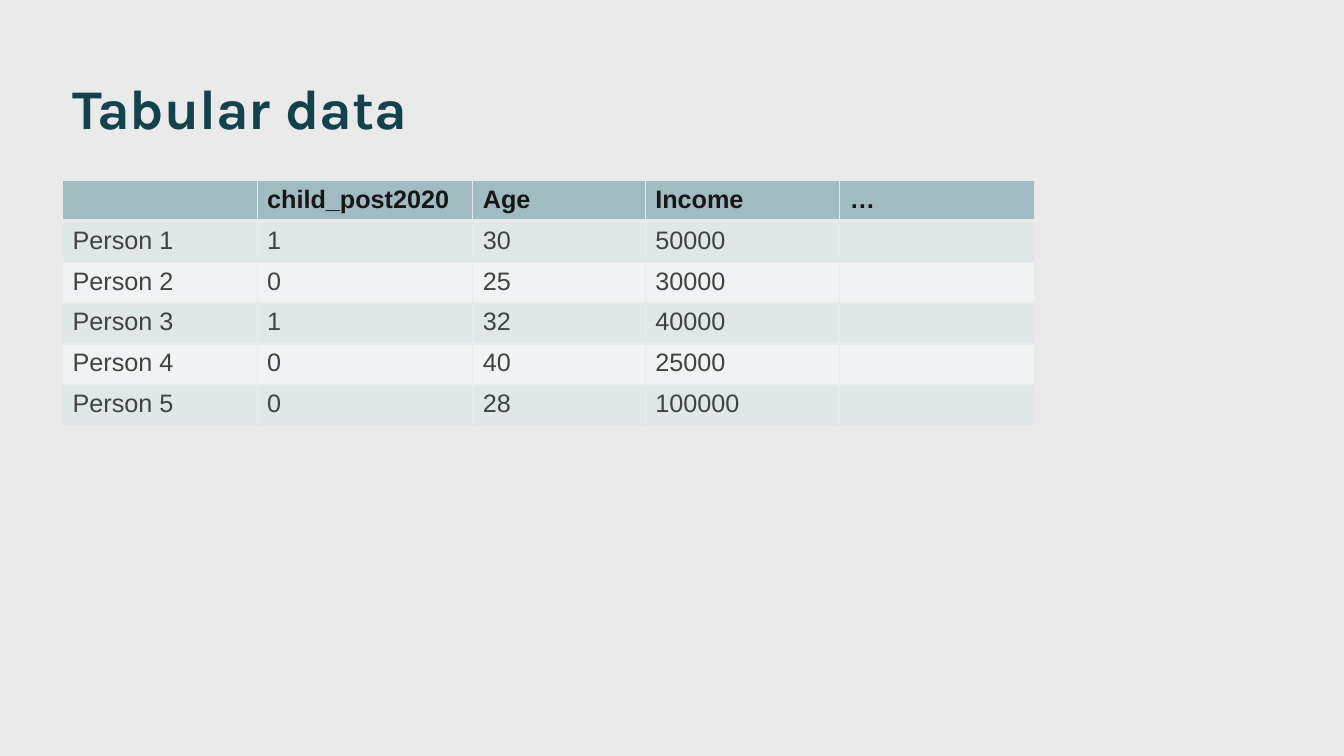
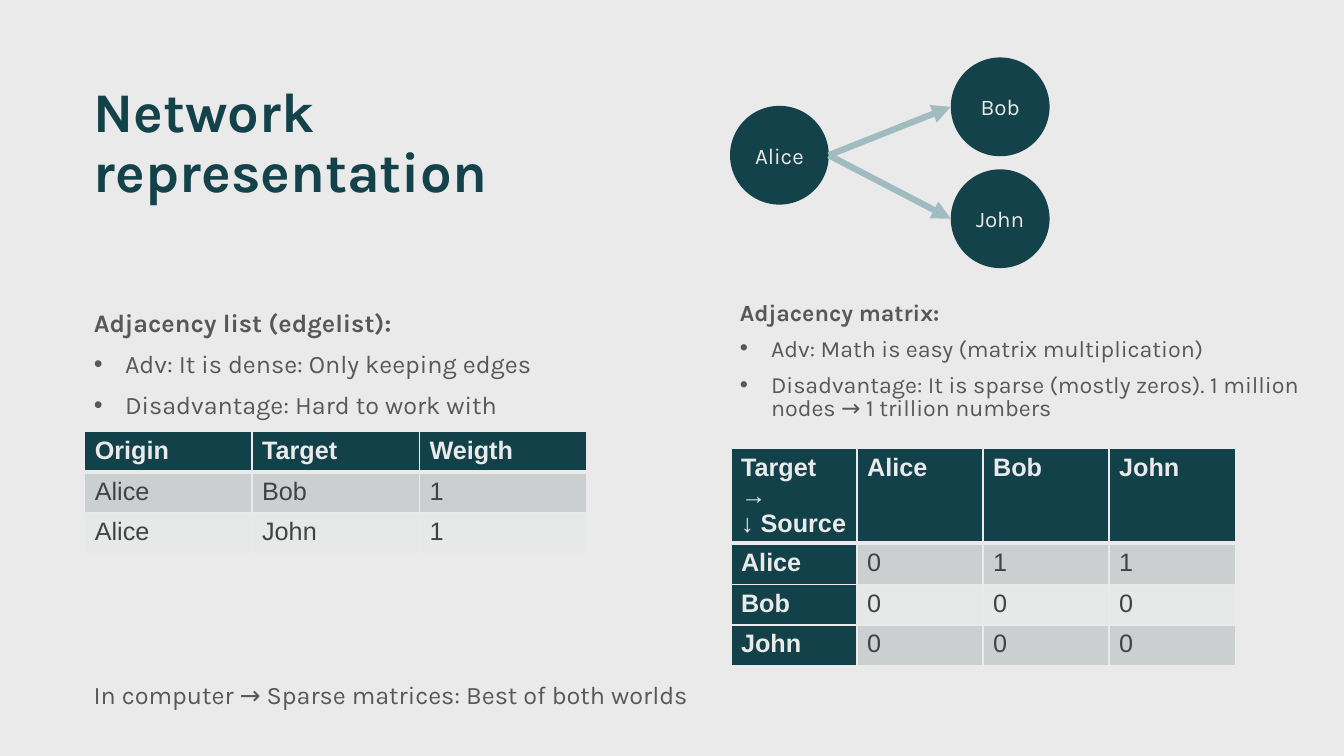
from dataclasses import dataclass

from lxml import etree
from pptx import Presentation
from pptx.dml.color import RGBColor
from pptx.enum.shapes import MSO_CONNECTOR, MSO_SHAPE
from pptx.enum.text import MSO_ANCHOR, MSO_AUTO_SIZE, PP_ALIGN
from pptx.oxml.ns import qn
from pptx.util import Inches, Pt

OVAL = MSO_SHAPE.OVAL
STRAIGHT = MSO_CONNECTOR.STRAIGHT
TOP, MIDDLE = MSO_ANCHOR.TOP, MSO_ANCHOR.MIDDLE
LEFT, CENTER = PP_ALIGN.LEFT, PP_ALIGN.CENTER
NO_AUTOFIT = MSO_AUTO_SIZE.NONE
TITLE_AND_CONTENT, TITLE_ONLY = 1, 5


@dataclass(frozen=True)
class Theme:
    background: str = "EAEAEA"
    dark: str = "14424A"
    table_dark: str = "13414A"
    pale: str = "A1BCC0"
    body: str = "585858"
    cell: str = "424242"
    pale_header: str = "171717"
    text_font: str = "Karla"
    table_font: str = "Arial"
    title_size: float = 40
    body_size: float = 18
    compact_size: float = 16.6
    node_size: float = 16


THEME = Theme()


@dataclass(frozen=True)
class Box:
    left: float
    top: float
    width: float
    height: float

    def place(self, shape) -> None:
        shape.left, shape.top = Inches(self.left), Inches(self.top)
        shape.width, shape.height = Inches(self.width), Inches(self.height)


@dataclass(frozen=True)
class TableStyle:
    header_fill: str
    header_color: str
    bands: tuple[str, str]


PALE_TABLE = TableStyle(THEME.pale, THEME.pale_header, ("E0E7E8", "F0F3F4"))
DARK_TABLE = TableStyle(THEME.table_dark, THEME.background, ("CCCFD0", "E7E9E9"))


@dataclass(frozen=True)
class Grid:
    left: float
    top: float
    column_widths: tuple[float, ...]
    rows: tuple[tuple[str, ...], ...]
    style: TableStyle
    header_column: bool = False


@dataclass(frozen=True)
class Node:
    name: str
    left: float
    top: float
    diameter: float = 0.98

    @property
    def middle(self) -> float:
        return self.top + self.diameter / 2


ROW_HEIGHT = 0.405
RIGHT_COLUMN = 7.24

PEOPLE = Grid(0.62, 1.79, (1.93, 2.14, 1.71, 1.93, 1.93), (
    ("", "child_post2020", "Age", "Income", "…"),
    ("Person 1", "1", "30", "50000", ""),
    ("Person 2", "0", "25", "30000", ""),
    ("Person 3", "1", "32", "40000", ""),
    ("Person 4", "0", "40", "25000", ""),
    ("Person 5", "0", "28", "100000", ""),
), PALE_TABLE)

EDGE_LIST = Grid(0.84, 4.28, (1.66,) * 3, (
    ("Origin", "Target", "Weigth"),
    ("Alice", "Bob", "1"),
    ("Alice", "John", "1"),
), DARK_TABLE)

MATRIX = Grid(7.25, 4.45, (1.25,) * 4, (
    ("Target →\n↓ Source", "Alice", "Bob", "John"),
    ("Alice", "0", "1", "1"),
    ("Bob", "0", "0", "0"),
    ("John", "0", "0", "0"),
), DARK_TABLE, header_column=True)

SOURCE = Node("Alice", RIGHT_COLUMN, 1.05)
TARGETS = (Node("Bob", 9.43, 0.57), Node("John", 9.43, 1.68))


# Text helpers
def color(value: str) -> RGBColor:
    return RGBColor.from_string(value)


def format_runs(paragraph, size: float, fill: str, bold: bool = False,
                font_name: str = THEME.text_font) -> None:
    for run in paragraph.runs:
        run.font.name = font_name
        run.font.size = Pt(size)
        run.font.bold = bold
        run.font.color.rgb = color(fill)


def set_bullet(paragraph, bulleted: bool) -> None:
    properties = paragraph._p.get_or_add_pPr()
    indent = Inches(0.31) if bulleted else 0
    properties.set("marL", str(indent))
    properties.set("indent", str(-indent))
    if bulleted:
        etree.SubElement(properties, qn("a:buFont")).set("typeface", "Arial")
        etree.SubElement(properties, qn("a:buChar")).set("char", "•")
    else:
        etree.SubElement(properties, qn("a:buNone"))


def prepare_frame(shape, box: Box):
    box.place(shape)
    frame = shape.text_frame
    frame.word_wrap = True
    frame.auto_size = NO_AUTOFIT
    frame.vertical_anchor = TOP
    return frame


def set_title(slide, text: str, box: Box) -> None:
    frame = prepare_frame(slide.shapes.title, box)
    frame.text = text
    paragraph = frame.paragraphs[0]
    paragraph.alignment = LEFT
    paragraph.line_spacing = 0.9
    format_runs(paragraph, THEME.title_size, THEME.dark, bold=True)


def fill_text(shape, box: Box, lines: tuple[str, ...], size: float,
              line_spacing: float, heading: bool = True) -> None:
    """Write a first line, bold if it is a heading, followed by bullets."""
    frame = prepare_frame(shape, box)
    frame.text = "\n".join(lines)
    for index, paragraph in enumerate(frame.paragraphs):
        set_bullet(paragraph, index > 0)
        paragraph.alignment = LEFT
        paragraph.line_spacing = line_spacing
        paragraph.space_before = Pt(10 if index else 0)
        format_runs(paragraph, size, THEME.body, bold=heading and index == 0)


def add_text(slide, box: Box, lines: tuple[str, ...], size: float,
             line_spacing: float, heading: bool = True) -> None:
    shape = slide.shapes.add_textbox(0, 0, 0, 0)
    fill_text(shape, box, lines, size, line_spacing, heading)


# Tables
def set_borders(cell, row: int) -> None:
    properties = cell._tc.get_or_add_tcPr()
    widths = {"lnL": 1, "lnR": 1, "lnT": 3 if row == 1 else 1,
              "lnB": 3 if row == 0 else 1}
    for index, (side, width) in enumerate(widths.items()):
        line = etree.Element(qn(f"a:{side}"), w=str(Pt(width)))
        fill = etree.SubElement(line, qn("a:solidFill"))
        etree.SubElement(fill, qn("a:srgbClr")).set("val", THEME.background)
        properties.insert(index, line)


def add_grid(slide, grid: Grid) -> None:
    style = grid.style
    row_count, column_count = len(grid.rows), len(grid.column_widths)
    table = slide.shapes.add_table(
        row_count, column_count, Inches(grid.left), Inches(grid.top),
        Inches(sum(grid.column_widths)), Inches(ROW_HEIGHT * row_count)).table
    for column, width in zip(table.columns, grid.column_widths):
        column.width = Inches(width)
    for row, values in enumerate(grid.rows):
        for column, value in enumerate(values):
            cell = table.cell(row, column)
            is_header = row == 0 or (grid.header_column and column == 0)
            cell.text_frame.text = value
            cell.fill.solid()
            cell.fill.fore_color.rgb = color(
                style.header_fill if is_header else style.bands[(row - 1) % 2])
            set_borders(cell, row)
            for paragraph in cell.text_frame.paragraphs:
                format_runs(paragraph, THEME.body_size,
                            style.header_color if is_header else THEME.cell,
                            is_header, THEME.table_font)


# Network diagram
def add_node(slide, node: Node) -> None:
    size = Inches(node.diameter)
    shape = slide.shapes.add_shape(OVAL, Inches(node.left), Inches(node.top), size, size)
    shape.shadow.inherit = False
    shape.fill.solid()
    shape.fill.fore_color.rgb = color(THEME.dark)
    shape.line.fill.background()
    frame = shape.text_frame
    frame.word_wrap = False
    frame.vertical_anchor = MIDDLE
    frame.text = node.name
    frame.paragraphs[0].alignment = CENTER
    format_runs(frame.paragraphs[0], THEME.node_size, THEME.background)


def add_arrow(slide, source: Node, target: Node) -> None:
    arrow = slide.shapes.add_connector(
        STRAIGHT, Inches(source.left + source.diameter), Inches(source.middle),
        Inches(target.left), Inches(target.middle))
    arrow.line.color.rgb = color(THEME.pale)
    arrow.line.width = Pt(4.5)
    etree.SubElement(arrow.line._get_or_add_ln(), qn("a:tailEnd")).set("type", "triangle")
    etree.SubElement(arrow._element.spPr, qn("a:effectLst"))


# Slides
def build_tabular_slide(presentation) -> None:
    slide = presentation.slides.add_slide(presentation.slide_layouts[TITLE_ONLY])
    set_title(slide, "Tabular data", Box(0.62, 0.75, 10.56, 1.3))
    add_grid(slide, PEOPLE)


def build_network_slide(presentation) -> None:
    slide = presentation.slides.add_slide(presentation.slide_layouts[TITLE_AND_CONTENT])
    set_title(slide, "Network representation", Box(0.83, 0.78, 5.83, 1.3))
    for node in (SOURCE, *TARGETS):
        add_node(slide, node)
    for target in TARGETS:
        add_arrow(slide, SOURCE, target)
    add_grid(slide, EDGE_LIST)
    add_grid(slide, MATRIX)
    fill_text(slide.placeholders[1], Box(0.83, 3.03, 5.83, 1.22), (
        "Adjacency list (edgelist):",
        "Adv: It is dense: Only keeping edges",
        "Disadvantage: Hard to work with",
    ), THEME.body_size, 0.9)
    add_text(slide, Box(RIGHT_COLUMN, 2.96, 5.83, 1.39), (
        "Adjacency matrix:",
        "Adv: Math is easy (matrix multiplication)",
        "Disadvantage: It is sparse (mostly zeros). 1 million nodes → 1 trillion numbers",
    ), THEME.compact_size, 0.8)
    add_text(slide, Box(0.83, 6.72, 6.41, 0.61),
             ("In computer → Sparse matrices: Best of both worlds",),
             THEME.body_size, 0.9, heading=False)


def main() -> None:
    presentation = Presentation()
    presentation.slide_width = Inches(13.33)
    presentation.slide_height = Inches(7.5)
    background = presentation.slide_master.background.fill
    background.solid()
    background.fore_color.rgb = color(THEME.background)
    build_tabular_slide(presentation)
    build_network_slide(presentation)
    presentation.save("out.pptx")


if __name__ == "__main__":
    main()
